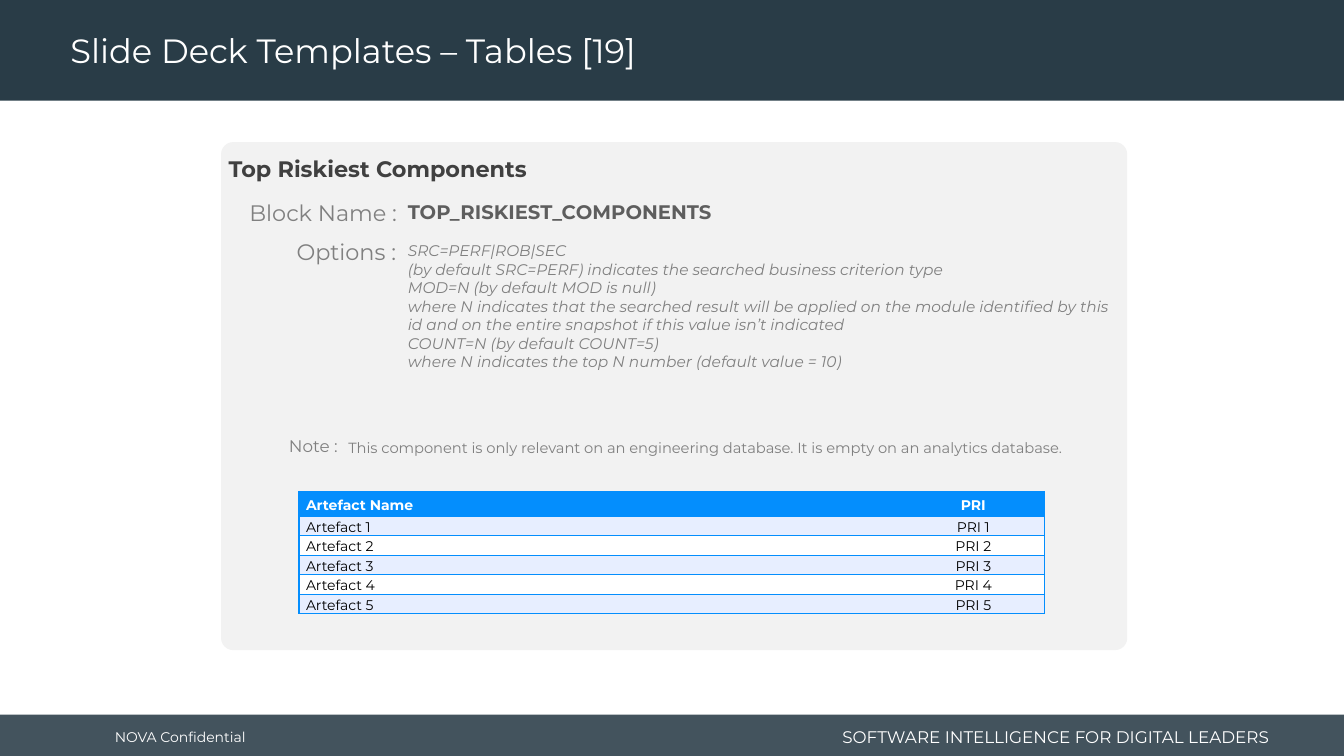
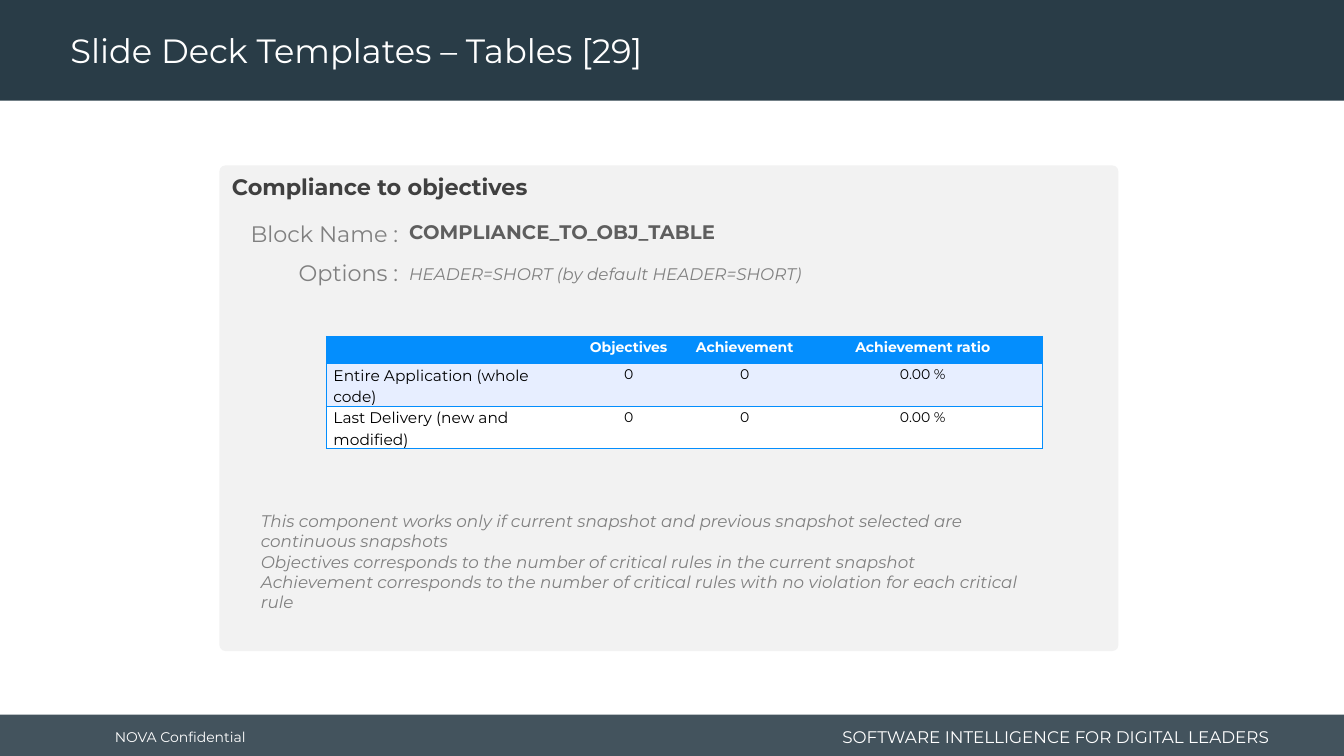
from dataclasses import dataclass

from lxml import etree
from pptx import Presentation
from pptx import util as u
from pptx.dml import color
from pptx.enum import shapes, text
from pptx.oxml import ns

COLORS = {
    "band": "293C47", "white": "FFFFFF", "panel": "F2F2F2", "heading": "404040",
    "block": "5E5E5E", "grey": "808080", "blue": "048EFD", "stripe": "E7EEFF",
    "black": "000000",
}
FONT = "Montserrat"
WIDTH, HEIGHT = 960, 540
LEFT, CENTER, RIGHT = text.PP_ALIGN.LEFT, text.PP_ALIGN.CENTER, text.PP_ALIGN.RIGHT
TOP, MIDDLE = text.MSO_ANCHOR.TOP, text.MSO_ANCHOR.MIDDLE


@dataclass(frozen=True)
class Style:
    size: float
    color: str = "grey"
    bold: bool = False
    italic: bool = False
    align: int = LEFT
    anchor: int = TOP
    wrap: bool = True
    grow: bool = True
    inset: float = 7.2
    spacing: float = 1.0


@dataclass(frozen=True)
class Label:
    lines: tuple
    box: tuple
    style: Style


@dataclass(frozen=True)
class Grid:
    left: float
    top: float
    widths: tuple
    header_height: float
    row_height: float
    header_anchor: int
    name_size: float
    rows: tuple


@dataclass(frozen=True)
class Page:
    number: int
    panel: tuple
    corner: float
    labels: tuple
    grid: Grid


TITLE = Style(24, "white", anchor=MIDDLE, grow=False, spacing=0.9)
CONFIDENTIAL = Style(10, "white", anchor=MIDDLE, wrap=False, grow=False)
TAGLINE = Style(12, "white", align=RIGHT, anchor=MIDDLE, grow=False)
HEADING = Style(16, "heading", bold=True, inset=14.4)
BLOCK = Style(14, "block", bold=True)
CAPTION = Style(16, align=RIGHT, wrap=False)
NOTE_CAPTION = Style(12, align=RIGHT, wrap=False)
NOTE = Style(10.5)
SMALL_OPTIONS = Style(11, italic=True)
OPTIONS = Style(12, italic=True)

FOOTER = (
    Label(("NOVA Confidential",), (74.9, 511.9, 106.6, 28.8), CONFIDENTIAL),
    Label(("SOFTWARE INTELLIGENCE FOR DIGITAL LEADERS",), (583.9, 514.8, 329.8, 23), TAGLINE),
)

PAGES = (
    Page(
        19, (157.9, 101.5, 647.3, 362.9), 0.024,
        (
            Label(("Top Riskiest Components",), (149, 107.3, 641.5, 26.6), HEADING),
            Label(("TOP_RISKIEST_COMPONENTS",), (284.2, 139, 522, 24.5), BLOCK),
            Label(("Block Name :",), (170.6, 139, 120.2, 26.6), CAPTION),
            Label(
                (
                    "SRC=PERF|ROB|SEC",
                    "(by default SRC=PERF) indicates the searched business criterion type",
                    "MOD=N (by default MOD is null)",
                    "where N indicates that the searched result will be applied on the module "
                    "identified by this id and on the entire snapshot if this value isn’t indicated",
                    "COUNT=N (by default COUNT=5)",
                    "where N indicates the top N number (default value = 10)",
                ),
                (284.2, 169, 522, 100.8), SMALL_OPTIONS,
            ),
            Label(("Options :",), (203, 166.3, 87.1, 26.6), CAPTION),
            Label(
                ("This component is only relevant on an engineering database. "
                 "It is empty on an analytics database.",),
                (241.7, 310.1, 550.8, 20.9), NOTE,
            ),
            Label(("Note :",), (198, 307.4, 50.4, 21.6), NOTE_CAPTION),
        ),
        Grid(
            213.6, 351.1, (430.6, 102.2), 17.5, 14, MIDDLE, 10,
            (("Artefact Name", "PRI"),)
            + tuple((f"Artefact {rank}", f"PRI {rank}") for rank in range(1, 6)),
        ),
    ),
    Page(
        29, (156.7, 118.1, 642.2, 347), 0.013,
        (
            Label(("Compliance to objectives",), (151.2, 120.2, 653.8, 26.6), HEADING),
            Label(("COMPLIANCE_TO_OBJ_TABLE",), (285.1, 153.4, 522, 24.5), BLOCK),
            Label(("Block Name :",), (171.4, 153.4, 120.2, 26.6), CAPTION),
            Label(("HEADER=SHORT (by default HEADER=SHORT)",), (285.1, 185, 522, 21.6), OPTIONS),
            Label(("Options :",), (204.5, 181.4, 87.1, 26.6), CAPTION),
            Label(
                (
                    "This component works only if current snapshot and previous snapshot "
                    "selected are continuous snapshots",
                    "Objectives corresponds to the number of critical rules in the current snapshot",
                    "Achievement corresponds to the number of critical rules with no violation "
                    "for each critical rule",
                ),
                (179.3, 361.4, 566.6, 94.3), OPTIONS,
            ),
        ),
        Grid(
            233.2, 240.3, (174.4, 82.9, 82.9, 171.5), 19.4, 30.5, TOP, 11,
            (
                ("", "Objectives", "Achievement", "Achievement ratio"),
                ("Entire Application (whole code)", "0", "0", "0.00 %"),
                ("Last Delivery (new and modified)", "0", "0", "0.00 %"),
            ),
        ),
    ),
)


def apply(target, values: dict) -> None:
    for name, value in values.items():
        setattr(target, name, value)


def rgb(name: str) -> color.RGBColor:
    return color.RGBColor.from_string(COLORS[name])


def points(values: tuple) -> list:
    return [u.Pt(value) for value in values]


def write(frame, lines: tuple, style: Style) -> None:
    for index, line in enumerate(lines):
        paragraph = frame.add_paragraph() if index else frame.paragraphs[0]
        apply(paragraph, {"alignment": style.align, "line_spacing": style.spacing})
        if not line:
            etree.SubElement(paragraph._p, ns.qn("a:endParaRPr"), sz=str(int(style.size * 100)))
            continue
        run = paragraph.add_run()
        run.text = line
        apply(run.font, {"name": FONT, "size": u.Pt(style.size),
                         "bold": style.bold, "italic": style.italic})
        run.font.color.rgb = rgb(style.color)


def add_label(slide, label: Label) -> None:
    style = label.style
    frame = slide.shapes.add_textbox(*points(label.box)).text_frame
    fit = text.MSO_AUTO_SIZE.SHAPE_TO_FIT_TEXT if style.grow else text.MSO_AUTO_SIZE.NONE
    apply(frame, {"word_wrap": style.wrap, "auto_size": fit, "vertical_anchor": style.anchor,
                  "margin_left": u.Pt(style.inset), "margin_right": u.Pt(style.inset)})
    write(frame, label.lines, style)


def add_block(slide, kind: int, box: tuple, fill: str):
    shape = slide.shapes.add_shape(kind, *points(box))
    shape.shadow.inherit = False
    shape.fill.solid()
    shape.fill.fore_color.rgb = rgb(fill)
    shape.line.fill.background()
    return shape


def add_frame(slide, number: int) -> None:
    rectangle = shapes.MSO_SHAPE.RECTANGLE
    footer = add_block(slide, rectangle, (0, 510.5, WIDTH, HEIGHT - 510.5), "band")
    tint = footer._element.spPr.find(".//" + ns.qn("a:srgbClr"))
    etree.SubElement(tint, ns.qn("a:alpha"), val="88000")
    add_block(slide, rectangle, (0, 0, WIDTH, 72), "band")
    title = Label((f"Slide Deck Templates – Tables [{number}]",), (43.2, 2.9, 689.8, 69.1), TITLE)
    for label in (*FOOTER, title):
        add_label(slide, label)


def set_borders(cell, first: bool, last: bool) -> None:
    properties = cell._tc.get_or_add_tcPr()
    sides = {"lnL": first, "lnR": last, "lnT": True, "lnB": True}
    for position, (side, visible) in enumerate(sides.items()):
        border = etree.Element(ns.qn(f"a:{side}"), w=str(u.Pt(1)))
        if visible:
            fill = etree.SubElement(border, ns.qn("a:solidFill"))
            etree.SubElement(fill, ns.qn("a:srgbClr"), val=COLORS["blue"])
        else:
            etree.SubElement(border, ns.qn("a:noFill"))
        properties.insert(position, border)


def add_grid(slide, grid: Grid) -> None:
    heights = [grid.header_height] + [grid.row_height] * (len(grid.rows) - 1)
    box = (grid.left, grid.top, sum(grid.widths), sum(heights))
    table = slide.shapes.add_table(len(grid.rows), len(grid.widths), *points(box)).table
    apply(table, {"first_row": False, "horz_banding": False})
    for column, width in zip(table.columns, grid.widths):
        column.width = u.Pt(width)
    for row_index, values in enumerate(grid.rows):
        table.rows[row_index].height = u.Pt(heights[row_index])
        header = row_index == 0
        fill = "blue" if header else ("white", "stripe")[row_index % 2]
        for column_index, value in enumerate(values):
            cell = table.cell(row_index, column_index)
            is_name = column_index == 0
            apply(cell, {"margin_left": u.Pt(5), "margin_right": u.Pt(5),
                         "margin_top": 0, "margin_bottom": 0,
                         "vertical_anchor": grid.header_anchor if header else TOP})
            cell.fill.solid()
            cell.fill.fore_color.rgb = rgb(fill)
            set_borders(cell, is_name, column_index == len(values) - 1)
            style = Style(
                grid.name_size if is_name and not header else 10,
                "white" if header else "black", bold=header,
                align=LEFT if is_name else CENTER, spacing=1.15,
            )
            write(cell.text_frame, (value,), style)


def add_page(presentation, page: Page) -> None:
    slide = presentation.slides.add_slide(presentation.slide_layouts[6])
    add_frame(slide, page.number)
    panel = add_block(slide, shapes.MSO_SHAPE.ROUNDED_RECTANGLE, page.panel, "panel")
    panel.adjustments[0] = page.corner
    for label in page.labels:
        add_label(slide, label)
    add_grid(slide, page.grid)


def main() -> None:
    presentation = Presentation()
    apply(presentation, {"slide_width": u.Pt(WIDTH), "slide_height": u.Pt(HEIGHT)})
    for page in PAGES:
        add_page(presentation, page)
    presentation.save("out.pptx")


if __name__ == "__main__":
    main()
